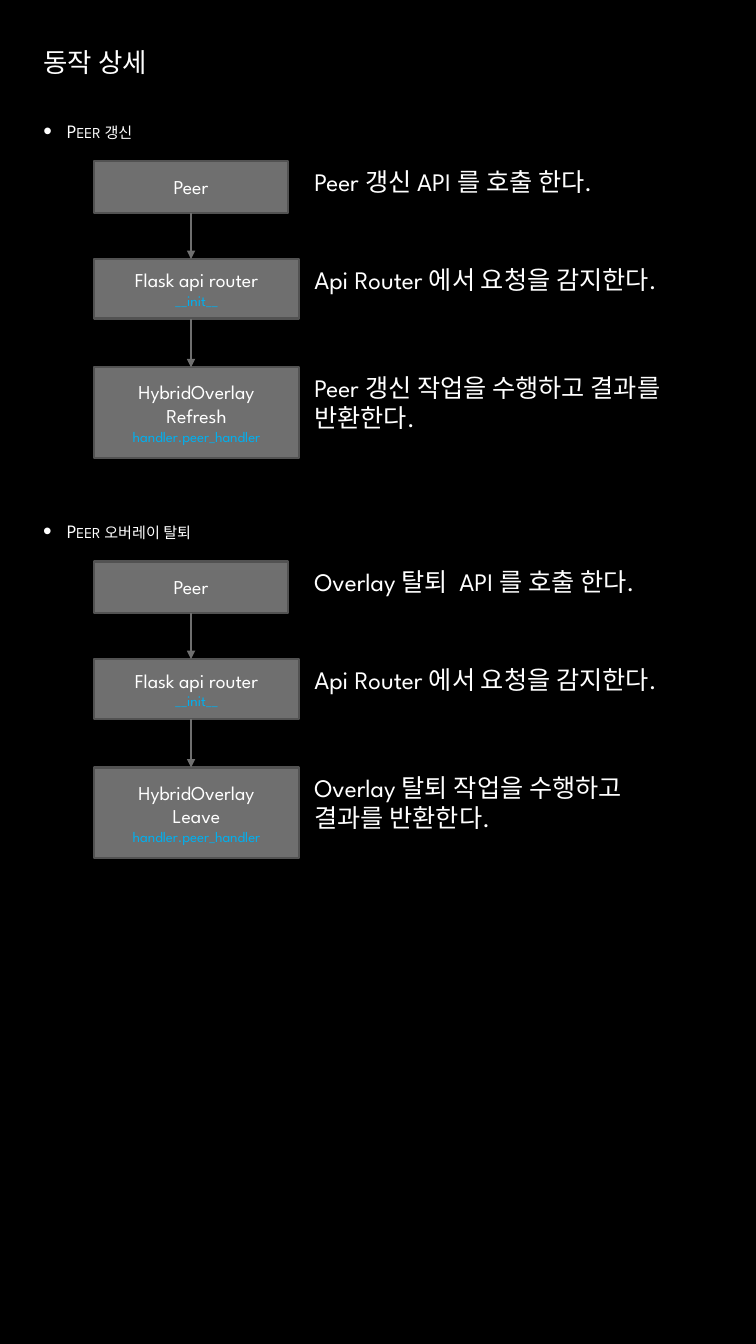
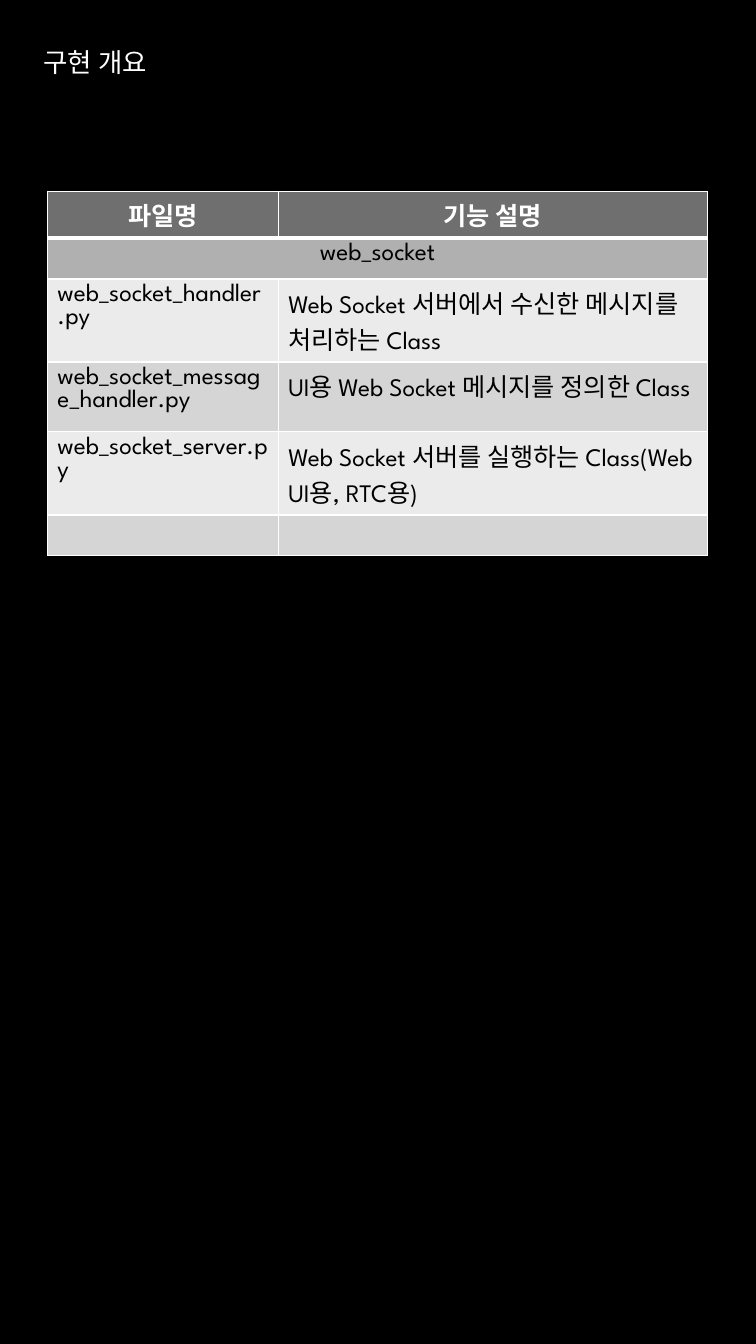
from lxml import etree
from pptx import Presentation
from pptx.dml.color import RGBColor
from pptx.enum.shapes import MSO_CONNECTOR, MSO_SHAPE
from pptx.enum.text import MSO_ANCHOR, MSO_AUTO_SIZE, PP_ALIGN
from pptx.oxml.ns import qn
from pptx.util import Pt

STRAIGHT = MSO_CONNECTOR.STRAIGHT
RECT = MSO_SHAPE.RECTANGLE
MIDDLE, TOP = MSO_ANCHOR.MIDDLE, MSO_ANCHOR.TOP
NO_FIT = MSO_AUTO_SIZE.NONE
LEFT, CENTER = PP_ALIGN.LEFT, PP_ALIGN.CENTER

BLACK = RGBColor(0x00, 0x00, 0x00)
WHITE = RGBColor(0xFF, 0xFF, 0xFF)
GRAY = RGBColor(0x6F, 0x6F, 0x6F)
DARK_GRAY = RGBColor(0x52, 0x52, 0x52)
MID_GRAY = RGBColor(0xB0, 0xB0, 0xB0)
BAND_LIGHT = RGBColor(0xEB, 0xEB, 0xEB)
BAND_DARK = RGBColor(0xD5, 0xD5, 0xD5)
BLUE = RGBColor(0x00, 0xB0, 0xF0)

LATIN, KOREAN = "League Spartan", "Noto Sans CJK KR"
LINE_RATIO = 1.2
MARGIN, CONTENT_W = 23.76, 493.92
TITLE_CONTENT, TITLE_ONLY = 1, 5


def sub(parent, tag, **attrs):
    return etree.SubElement(parent, qn(tag), attrs)


class Deck:
    def __init__(self):
        self.prs = Presentation()
        self.prs.slide_width, self.prs.slide_height = Pt(540), Pt(960)
        fill = self.prs.slide_master.background.fill
        fill.solid()
        fill.fore_color.rgb = BLACK
        self.s = None

    def slide(self, layout, title):
        self.s = self.prs.slides.add_slide(self.prs.slide_layouts[layout])
        sp = self.s.shapes.title
        self.place(sp, MARGIN, 28.8, CONTENT_W, 30.24)
        tf = sp.text_frame
        tf.auto_size, tf.vertical_anchor = NO_FIT, MIDDLE
        p = tf.paragraphs[0]
        p.alignment = LEFT
        self.run(p, title, 18.9, WHITE, latin=KOREAN)

    def place(self, sp, x, y, w, h):
        sp.left, sp.top, sp.width, sp.height = Pt(x), Pt(y), Pt(w), Pt(h)

    def run(self, p, text, size, color, bold=False, latin=LATIN):
        r = p.add_run()
        r.text = text
        f = r.font
        f.size, f.bold, f.name = Pt(size), bold, latin
        f.color.rgb = color
        sub(r._r.get_or_add_rPr(), "a:ea", typeface=KOREAN)
        return r

    def line(self, p, text, size, color, align=LEFT):
        p.alignment = align
        p.line_spacing = Pt(round(size * LINE_RATIO, 1))
        return self.run(p, text, size, color)

    def textbox(self, x, y, w, h):
        sp = self.s.shapes.add_textbox(Pt(x), Pt(y), Pt(w), Pt(h))
        sp.text_frame.word_wrap = True
        return sp

    def heading(self, sp, y, text):
        self.place(sp, MARGIN, y, CONTENT_W, 226.08)
        tf = sp.text_frame
        tf.auto_size, tf.vertical_anchor = NO_FIT, TOP
        p = tf.paragraphs[0]
        p.space_before, p.space_after = Pt(0), Pt(4.5)
        r = self.line(p, text, 13.5, WHITE)
        r._r.get_or_add_rPr().set("cap", "small")
        pPr = p._p.get_or_add_pPr()
        pPr.set("marL", str(Pt(16.88)))
        pPr.set("indent", str(-Pt(16.88)))
        sub(sub(pPr, "a:buClr"), "a:srgbClr", val=str(WHITE))
        sub(pPr, "a:buSzPct", val="130000")
        sub(pPr, "a:buFont", typeface="Arial")
        sub(pPr, "a:buChar", char="•")

    def box(self, x, y, w, h, names, module):
        sp = self.s.shapes.add_shape(RECT, Pt(x), Pt(y), Pt(w), Pt(h))
        sp.shadow.inherit = False
        sp.fill.solid()
        sp.fill.fore_color.rgb = GRAY
        sp.line.color.rgb = DARK_GRAY
        sp.line.width = Pt(1.5)
        tf = sp.text_frame
        tf.vertical_anchor = MIDDLE
        lines = [(name, 14, WHITE) for name in names]
        if module:
            lines.append((module, 10.5, BLUE))
        for i, (text, size, color) in enumerate(lines):
            p = tf.add_paragraph() if i else tf.paragraphs[0]
            self.line(p, text, size, color, CENTER)
        return sp

    def caption(self, x, y, w, h, text):
        sp = self.textbox(x, y, w, h)
        self.line(sp.text_frame.paragraphs[0], text, 18, WHITE)

    def arrow(self, x, y1, y2):
        c = self.s.shapes.add_connector(STRAIGHT, Pt(x), Pt(y1), Pt(x), Pt(y2))
        c.line.color.rgb = GRAY
        c.line.width = Pt(2)
        sub(c.line._get_or_add_ln(), "a:tailEnd", type="triangle")
        sub(c._element.spPr, "a:effectLst")
        return c

    def flow(self, top, steps):
        x, axis = 66.96, 136.44
        sizes = [(0, 138.96, 36.72), (69.84, 146.88, 42.48), (147.2, 146.88, 64.8)]
        previous, bottom = None, 0
        for (dy, w, h), (names, module, text) in zip(sizes, steps):
            y = top + dy
            sp = self.box(x, y, w, h, names, module)
            self.caption(217.44, y, 284.4, 28.8, text)
            if previous is not None:
                c = self.arrow(axis, bottom, y)
                if previous.left + previous.width // 2 == Pt(axis):
                    c.begin_connect(previous, 2)
            previous, bottom = sp, y + h

    def cell(self, cell, text, fill, color, bold, align, top, bottom):
        tcPr = cell._tc.get_or_add_tcPr()
        for side, width in (("L", 1), ("R", 1), ("T", top), ("B", bottom)):
            ln = sub(tcPr, "a:ln" + side, w=str(Pt(width)))
            sub(sub(ln, "a:solidFill"), "a:srgbClr", val=str(WHITE))
        cell.fill.solid()
        cell.fill.fore_color.rgb = fill
        if text:
            p = cell.text_frame.paragraphs[0]
            p.alignment = align
            self.run(p, text, 18, color, bold)

    def table(self, x, y, widths, row_h, rows):
        frame = self.s.shapes.add_table(
            len(rows), len(widths), Pt(x), Pt(y), Pt(sum(widths)), Pt(row_h * len(rows)))
        tbl = frame.table
        for col, w in zip(tbl.columns, widths):
            col.width = Pt(w)
        tbl.cell(1, 0).merge(tbl.cell(1, 1))
        fills = [GRAY, MID_GRAY]
        for i, row in enumerate(rows):
            tbl.rows[i].height = Pt(row_h)
            header = i == 0
            fill = fills[i] if i < 2 else (BAND_LIGHT, BAND_DARK)[i % 2]
            for j, text in enumerate(row):
                self.cell(tbl.cell(i, j), text, fill, WHITE if header else BLACK, header,
                          CENTER if i < 2 else LEFT, 3 if i == 1 else 1, 3 if header else 1)


def peer_steps(action, request, result):
    return [
        (["Peer"], "", request),
        (["Flask api router"], "__init__", "Api Router 에서 요청을 감지한다."),
        (["HybridOverlay", action], "handler.peer_handler", result),
    ]


def main():
    deck = Deck()

    deck.slide(TITLE_CONTENT, "동작 상세")
    deck.heading(deck.s.placeholders[1], 82.08, "Peer 갱신")
    deck.flow(115.2, peer_steps("Refresh", "Peer 갱신 API 를 호출 한다.",
                                "Peer 갱신 작업을 수행하고 결과를 반환한다."))
    deck.heading(deck.textbox(MARGIN, 367.92, CONTENT_W, 226.08), 367.92, "Peer 오버레이 탈퇴")
    deck.flow(401.04, peer_steps("Leave", "Overlay 탈퇴  API 를 호출 한다.",
                                 "Overlay 탈퇴 작업을 수행하고 결과를 반환한다."))

    deck.slide(TITLE_ONLY, "구현 개요")
    deck.table(33.84, 136.8, [164.88, 306.72], 29.2, [
        ("파일명", "기능 설명"),
        ("web_socket", ""),
        ("web_socket_handler.py", "Web Socket 서버에서 수신한 메시지를 처리하는 Class"),
        ("web_socket_message_handler.py", "UI용 Web Socket 메시지를 정의한 Class"),
        ("web_socket_server.py", "Web Socket 서버를 실행하는 Class(Web UI용, RTC용)"),
        ("", ""),
    ])

    deck.prs.save("out.pptx")


if __name__ == "__main__":
    main()
